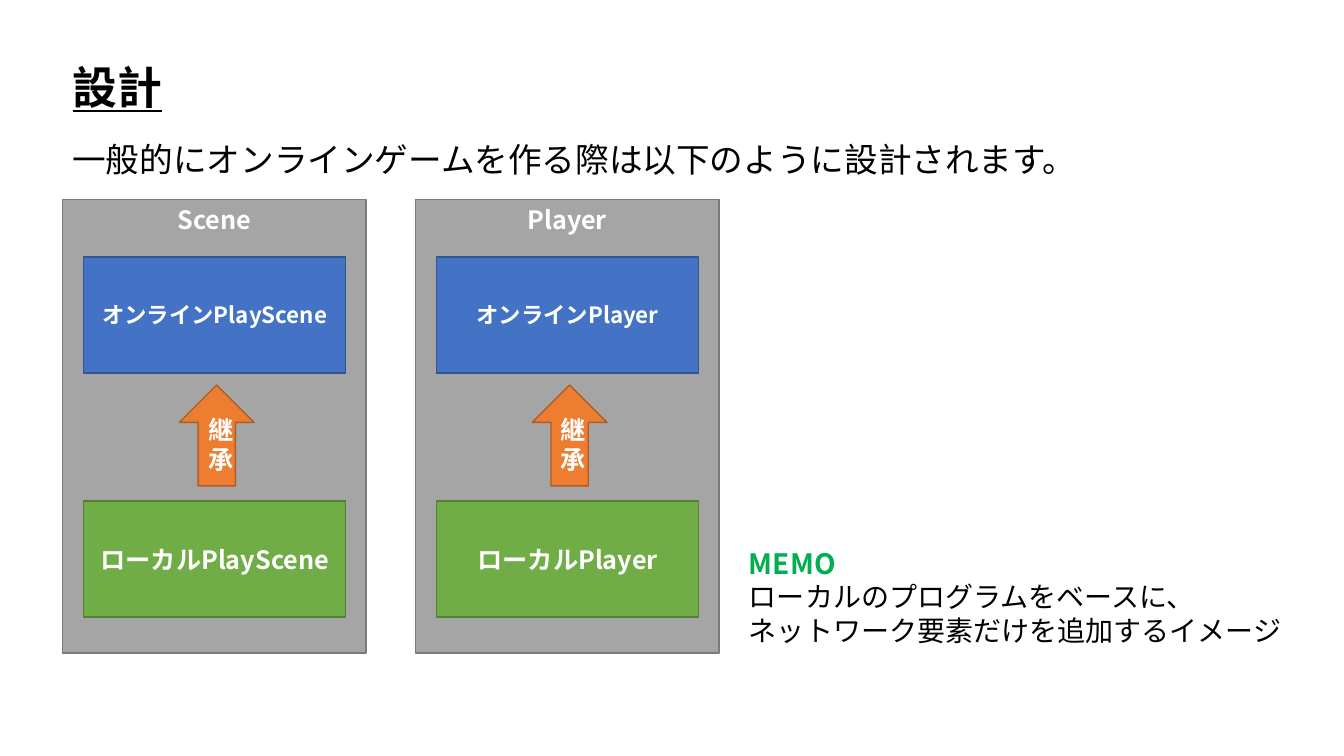
from lxml.etree import SubElement
from pptx import Presentation
from pptx.dml.color import RGBColor
from pptx.enum.shapes import MSO_SHAPE
from pptx.enum.text import MSO_ANCHOR, MSO_AUTO_SIZE, PP_ALIGN
from pptx.oxml.ns import qn
from pptx.util import Inches, Pt

FONT = "Noto Sans CJK JP"
BLACK = RGBColor(0x00, 0x00, 0x00)
WHITE = RGBColor(0xFF, 0xFF, 0xFF)
MEMO_GREEN = RGBColor(0x00, 0xB0, 0x50)
GRAY, GRAY_LINE = RGBColor(0xA5, 0xA5, 0xA5), RGBColor(0x7A, 0x7A, 0x7A)
GREEN, GREEN_LINE = RGBColor(0x70, 0xAD, 0x47), RGBColor(0x53, 0x80, 0x35)
BLUE, BLUE_LINE = RGBColor(0x44, 0x72, 0xC4), RGBColor(0x32, 0x54, 0x91)
ORANGE, ORANGE_LINE = RGBColor(0xED, 0x7D, 0x31), RGBColor(0xAF, 0x5C, 0x24)


def write(shape, text, size, color=BLACK, bold=False, underline=False,
          align=PP_ALIGN.LEFT, anchor=MSO_ANCHOR.TOP, wrap=False):
    """Add one paragraph of text to a shape."""
    frame = shape.text_frame
    frame.word_wrap = wrap
    frame.vertical_anchor = anchor
    paragraph = frame.add_paragraph() if frame.text else frame.paragraphs[0]
    paragraph.alignment = align
    run = paragraph.add_run()
    run.text = text
    run.font.size = Pt(size)
    run.font.bold = bold
    run.font.underline = underline
    run.font.color.rgb = color
    run.font.name = FONT
    SubElement(run.font._element, qn("a:ea"), typeface=FONT)


def add_block(group, kind, left, top, width, height, fill, line, text, size,
              anchor=MSO_ANCHOR.MIDDLE):
    """Add a filled shape with a centred white label."""
    shape = group.shapes.add_shape(
        kind, Inches(left), Inches(top), Inches(width), Inches(height))
    shape.shadow.inherit = False
    shape.fill.solid()
    shape.fill.fore_color.rgb = fill
    shape.line.color.rgb = line
    shape.line.width = Pt(1)
    write(shape, text, size, WHITE, bold=True, align=PP_ALIGN.CENTER,
          anchor=anchor, wrap=True)


presentation = Presentation()
presentation.slide_width = Inches(13.33)
presentation.slide_height = Inches(7.5)
slide = presentation.slides.add_slide(presentation.slide_layouts[5])

# Title
title = slide.shapes.title
title.left, title.top = Inches(0.62), Inches(0.54)
title.width, title.height = Inches(1.1), Inches(0.64)
title.text_frame.auto_size = MSO_AUTO_SIZE.SHAPE_TO_FIT_TEXT
write(title, "設計", 32, bold=True, underline=True)

# Introduction
introduction = slide.shapes.add_textbox(
    Inches(0.62), Inches(1.33), Inches(10.3), Inches(0.5))
introduction.text_frame.auto_size = MSO_AUTO_SIZE.SHAPE_TO_FIT_TEXT
write(introduction, "一般的にオンラインゲームを作る際は以下のように設計されます。", 24)

# Inheritance panels: the online class derives from the local class
for index, (heading, class_name) in enumerate(
        [("Scene", "PlayScene"), ("Player", "Player")]):
    left = 0.62 + 3.5 * index
    panel = slide.shapes.add_group_shape()
    add_block(panel, MSO_SHAPE.RECTANGLE, left, 1.98, 3.01, 4.5,
              GRAY, GRAY_LINE, heading, 18, anchor=MSO_ANCHOR.TOP)
    add_block(panel, MSO_SHAPE.RECTANGLE, left + 0.21, 4.97, 2.6, 1.15,
              GREEN, GREEN_LINE, "ローカル" + class_name, 18)
    add_block(panel, MSO_SHAPE.RECTANGLE, left + 0.21, 2.55, 2.6, 1.15,
              BLUE, BLUE_LINE, "オンライン" + class_name, 16)
    add_block(panel, MSO_SHAPE.UP_ARROW, left + 1.16, 3.82, 0.74, 1,
              ORANGE, ORANGE_LINE, "継承", 18)

# Memo
memo = slide.shapes.add_textbox(
    Inches(7.33), Inches(5.37), Inches(5.53), Inches(1.11))
memo.text_frame.auto_size = MSO_AUTO_SIZE.SHAPE_TO_FIT_TEXT
write(memo, "MEMO", 20, MEMO_GREEN, bold=True)
for sentence in ["ローカルのプログラムをベースに、",
                 "ネットワーク要素だけを追加するイメージ"]:
    write(memo, sentence, 20)

presentation.save("out.pptx")
